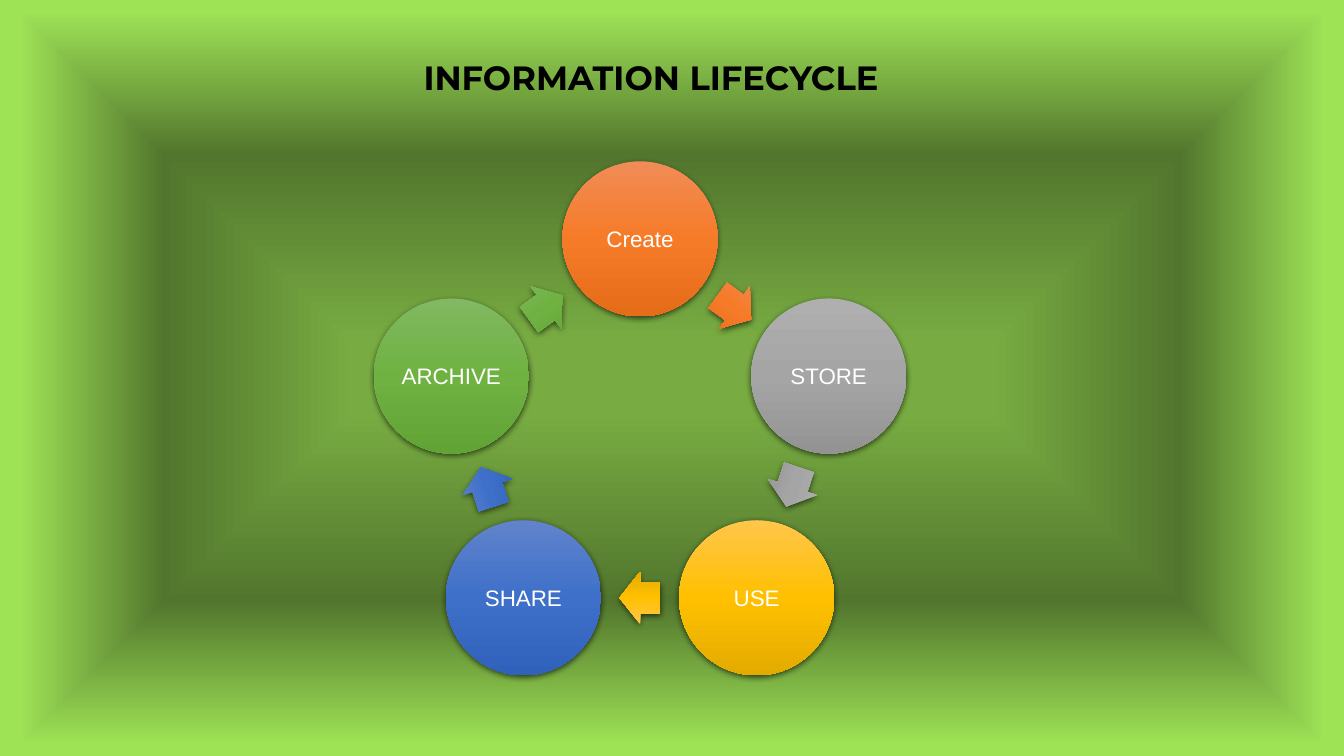
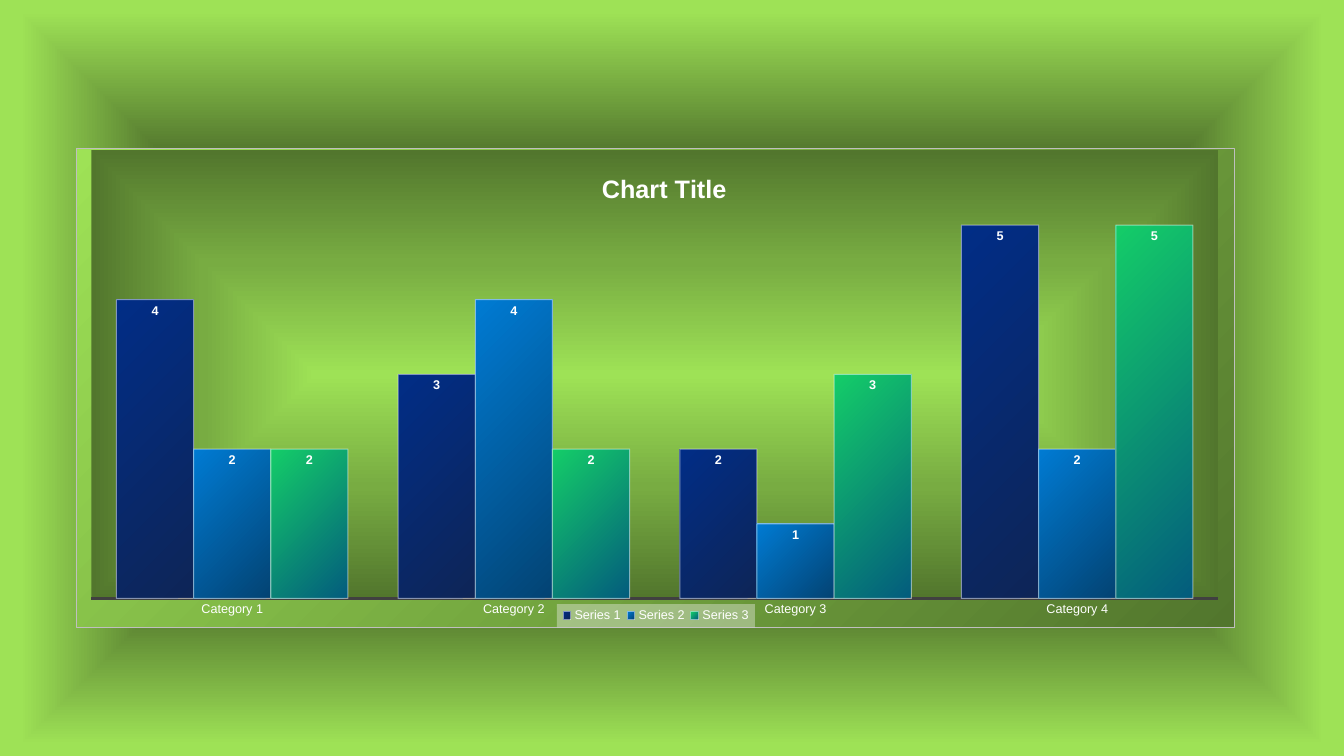
"""Builds a two-slide deck: the information lifecycle and a column chart."""
from math import cos, radians, sin

from pptx import Presentation
from pptx.chart.data import CategoryChartData
from pptx.dml.color import RGBColor
from pptx.enum.chart import XL_CHART_TYPE, XL_LABEL_POSITION, XL_LEGEND_POSITION, XL_TICK_MARK
from pptx.enum.shapes import MSO_SHAPE
from pptx.enum.text import MSO_ANCHOR, PP_ALIGN
from pptx.oxml import parse_xml
from pptx.oxml.ns import nsdecls, qn
from pptx.util import Cm, Pt

ELLIPSE, ARROW = MSO_SHAPE.OVAL, MSO_SHAPE.RIGHT_ARROW
COLUMNS = XL_CHART_TYPE.COLUMN_CLUSTERED
INSIDE_END = XL_LABEL_POSITION.INSIDE_END
BOTTOM = XL_LEGEND_POSITION.BOTTOM
NO_TICKS = XL_TICK_MARK.NONE
CENTER, MIDDLE = PP_ALIGN.CENTER, MSO_ANCHOR.MIDDLE

BLACK = RGBColor(0x00, 0x00, 0x00)
WHITE = RGBColor(0xFF, 0xFF, 0xFF)
PALE = RGBColor(0xF2, 0xF2, 0xF2)
SILVER = RGBColor(0xBF, 0xBF, 0xBF)
CHARCOAL = RGBColor(0x40, 0x40, 0x40)
LIME = RGBColor(0x9E, 0xE2, 0x56)
LEAF = RGBColor(0x78, 0xAC, 0x42)
MOSS = RGBColor(0x52, 0x76, 0x2D)
ORANGES = RGBColor(0xF1, 0x8C, 0x57), RGBColor(0xF6, 0x7B, 0x28), RGBColor(0xE5, 0x6C, 0x19)
GREYS = RGBColor(0xAF, 0xAF, 0xAF), RGBColor(0xA5, 0xA5, 0xA5), RGBColor(0x93, 0x93, 0x93)
GOLDS = RGBColor(0xFF, 0xC6, 0x4B), RGBColor(0xFF, 0xC0, 0x00), RGBColor(0xE3, 0xAB, 0x00)
BLUES = RGBColor(0x61, 0x83, 0xCB), RGBColor(0x3E, 0x70, 0xCA), RGBColor(0x30, 0x62, 0xBB)
GREENS = RGBColor(0x81, 0xB8, 0x61), RGBColor(0x6F, 0xB2, 0x42), RGBColor(0x62, 0xA3, 0x36)
NAVY = RGBColor(0x01, 0x2D, 0x86), RGBColor(0x0E, 0x25, 0x57)
AZURE = RGBColor(0x00, 0x7B, 0xD3), RGBColor(0x03, 0x43, 0x73)
EMERALD = RGBColor(0x14, 0xCD, 0x68), RGBColor(0x03, 0x5C, 0x7D)

DOWNWARD = '<a:lin ang="5400000" scaled="0"/>'
FROM_CORNER = '<a:path path="circle"><a:fillToRect r="100000" b="100000"/></a:path>'
FROM_CENTER = ('<a:path path="shape"><a:fillToRect l="50000" t="50000" '
               'r="50000" b="50000"/></a:path>')

STAGES = [("Create", ORANGES), ("STORE", GREYS), ("USE", GOLDS),
          ("SHARE", BLUES), ("ARCHIVE", GREENS)]
CATEGORIES = ["Category 1", "Category 2", "Category 3", "Category 4"]
SERIES = [("Series 1", (4, 3, 2, 5), NAVY),
          ("Series 2", (2, 4, 1, 2), AZURE),
          ("Series 3", (2, 2, 3, 5), EMERALD)]

CYCLE_X, CYCLE_Y, CYCLE_RADIUS = 16.13, 11.02, 5
CIRCLE_SIZE, ARROW_SIZE = (3.91, 3.91), (1.04, 1.32)


def apply_format(target, **values):
    """Set each named attribute of the target."""
    for name, value in values.items():
        setattr(target, name, value)


def style_font(font, size, color=WHITE, name="Arial", bold=False):
    """Give a font its face, size, weight and colour."""
    apply_format(font, name=name, size=Pt(size), bold=bold)
    font.color.rgb = color


def make_gradient(colors, direction, positions=None):
    """Return a gradient fill, evenly spread unless positions are given."""
    positions = positions or [100 * i // (len(colors) - 1) for i in range(len(colors))]
    stops = "".join(f'<a:gs pos="{position * 1000}"><a:srgbClr val="{color}"/></a:gs>'
                    for position, color in zip(positions, colors))
    return parse_xml(f'<a:gradFill {nsdecls("a")} rotWithShape="1">'
                     f'<a:gsLst>{stops}</a:gsLst>{direction}</a:gradFill>')


def paint_gradient(fill, properties, gradient):
    """Put a gradient in the place of the fill held by the properties."""
    fill.solid()
    properties.replace(properties.find(qn("a:solidFill")), gradient)


def set_background(master):
    """Give every slide the green frame-shaped gradient."""
    fill = master.background.fill
    properties = master.element.find(".//" + qn("p:bgPr"))
    paint_gradient(fill, properties,
                   make_gradient((LEAF, MOSS, LIME), FROM_CENTER, (9, 59, 97)))


def add_title(slide, text):
    """Move, fill and format the title placeholder."""
    title = slide.shapes.title
    apply_format(title, left=Cm(1.8), top=Cm(0.71), width=Cm(29.21), height=Cm(3.68))
    apply_format(title.text_frame, text=text, vertical_anchor=MIDDLE, margin_bottom=Cm(1.2))
    para = title.text_frame.paragraphs[0]
    apply_format(para, alignment=CENTER, line_spacing=0.9)
    style_font(para.font, 24, BLACK, "Montserrat", True)


def add_cycle_shape(slide, kind, angle, radius, size, colors):
    """Add a shaded shape centred at an angle clockwise from the top."""
    width, height = size
    left = CYCLE_X + radius * sin(radians(angle)) - width / 2
    top = CYCLE_Y - radius * cos(radians(angle)) - height / 2
    shape = slide.shapes.add_shape(kind, Cm(left), Cm(top), Cm(width), Cm(height))
    properties = shape.element.spPr
    paint_gradient(shape.fill, properties, make_gradient(colors, DOWNWARD))
    shape.line.fill.background()
    shape.shadow.inherit = False
    properties.find(qn("a:effectLst")).append(parse_xml(
        f'<a:outerShdw {nsdecls("a")} blurRad="{Pt(4.5)}" dist="{Pt(1.5)}" dir="5400000" '
        'algn="ctr" rotWithShape="0"><a:srgbClr val="000000"><a:alpha val="63000"/>'
        '</a:srgbClr></a:outerShdw>'))
    return shape


def add_cycle(slide, stages):
    """Add a ring of circles with an arrow from each to the next."""
    step = 360 / len(stages)
    for index, (label, colors) in enumerate(stages):
        angle = index * step
        circle = add_cycle_shape(slide, ELLIPSE, angle, CYCLE_RADIUS, CIRCLE_SIZE, colors)
        margins = dict.fromkeys(
            ("margin_left", "margin_top", "margin_right", "margin_bottom"), Cm(0.05))
        apply_format(circle.text_frame, text=label, vertical_anchor=MIDDLE, **margins)
        para = circle.text_frame.paragraphs[0]
        para.alignment = CENTER
        style_font(para.font, 16)
        arrow = add_cycle_shape(slide, ARROW, angle + step / 2,
                                CYCLE_RADIUS * cos(radians(step / 2)), ARROW_SIZE, colors)
        arrow.rotation = angle + step / 2
        arrow.adjustments[0], arrow.adjustments[1] = 0.6, 0.5


def place_part(part, index, **values):
    """Give a chart part a manual layout as fractions of the chart."""
    for layout in part.findall(qn("c:layout")):
        part.remove(layout)
    target = '<c:layoutTarget val="inner"/>' if index == 0 else ""
    modes = "".join(f'<c:{name}Mode val="edge"/>' for name in "xy")
    sizes = "".join(f'<c:{name} val="{value}"/>' for name, value in values.items())
    part.insert(index, parse_xml(
        f'<c:layout {nsdecls("c")}><c:manualLayout>{target}{modes}{sizes}'
        '</c:manualLayout></c:layout>'))


def add_properties(previous, *contents):
    """Add shape properties after the previous chart element."""
    properties = parse_xml(f'<c:spPr {nsdecls("c", "a")}/>')
    properties.extend(contents)
    previous.addnext(properties)


def style_series(series, colors):
    """Format the columns of a series and their value labels."""
    paint_gradient(series.format.fill, series._element.spPr,
                   make_gradient(colors, FROM_CORNER))
    line = series.format.line
    line.width = Pt(0.75)
    line.color.rgb = WHITE
    series._element.spPr.find(".//" + qn("a:ln")).find(".//" + qn("a:srgbClr")).append(
        parse_xml(f'<a:alpha {nsdecls("a")} val="50000"/>'))
    labels = series.data_labels
    apply_format(labels, show_value=True, position=INSIDE_END)
    style_font(labels.font, 9, bold=True)


def style_axes(chart):
    """Show only the category axis, and fix the value scale."""
    axis = chart.category_axis
    apply_format(axis, major_tick_mark=NO_TICKS, minor_tick_mark=NO_TICKS,
                 has_major_gridlines=False)
    style_font(axis.tick_labels.font, 9)
    axis.format.line.width = Pt(1.5)
    axis.format.line.color.rgb = CHARCOAL
    apply_format(chart.value_axis, visible=False, has_major_gridlines=False,
                 minimum_scale=0, maximum_scale=6)


def add_chart_title(chart, text):
    """Add the heading inside the chart."""
    frame = chart.chart_title.text_frame
    frame.text = text
    style_font(frame.paragraphs[0].runs[0].font, 18, bold=True)
    place_part(chart.chart_title._element, 1, x=0.45, y=0.04)


def add_legend(chart):
    """Add the translucent legend at the foot of the chart."""
    chart.has_legend = True
    legend = chart.legend
    apply_format(legend, position=BOTTOM, include_in_layout=False)
    style_font(legend.font, 9)
    element = legend._element
    place_part(element, 1, x=0.415, y=0.952, w=0.171, h=0.048)
    add_properties(element.find(qn("c:overlay")), parse_xml(
        f'<a:solidFill {nsdecls("a")}><a:srgbClr val="{PALE}"><a:alpha val="39000"/>'
        '</a:srgbClr></a:solidFill>'))


def add_column_chart(slide):
    """Add the clustered column chart on its gradient panels."""
    data = CategoryChartData()
    data.categories = CATEGORIES
    for name, values, _ in SERIES:
        data.add_series(name, values)
    chart = slide.shapes.add_chart(COLUMNS, Cm(1.91), Cm(3.73), Cm(29.21), Cm(12.09),
                                   data).chart
    style_font(chart.font, 10)
    plot = chart.plots[0]
    apply_format(plot, gap_width=65, overlap=0, vary_by_categories=False)
    for series, (_, _, colors) in zip(plot.series, SERIES):
        style_series(series, colors)
    style_axes(chart)
    add_chart_title(chart, "Chart Title")
    add_legend(chart)
    area = chart.element.find(".//" + qn("c:plotArea"))
    place_part(area, 0, x=0.013, y=0.004, w=0.973, h=0.936)
    add_properties(area[-1], make_gradient((LIME, LEAF, MOSS), FROM_CENTER))
    border = parse_xml(f'<a:ln {nsdecls("a")} w="{Pt(0.75)}"><a:solidFill>'
                       f'<a:srgbClr val="{SILVER}"/></a:solidFill></a:ln>')
    add_properties(chart.element.find(qn("c:chart")),
                   make_gradient((LIME, MOSS), FROM_CORNER), border)


def main():
    """Build and save the deck."""
    deck = Presentation()
    apply_format(deck, slide_width=Cm(33.87), slide_height=Cm(19.05))
    set_background(deck.slide_master)
    title_only, blank = deck.slide_layouts[5], deck.slide_layouts[6]
    lifecycle = deck.slides.add_slide(title_only)
    add_title(lifecycle, "INFORMATION LIFECYCLE")
    add_cycle(lifecycle, STAGES)
    add_column_chart(deck.slides.add_slide(blank))
    deck.save("out.pptx")


if __name__ == "__main__":
    main()
